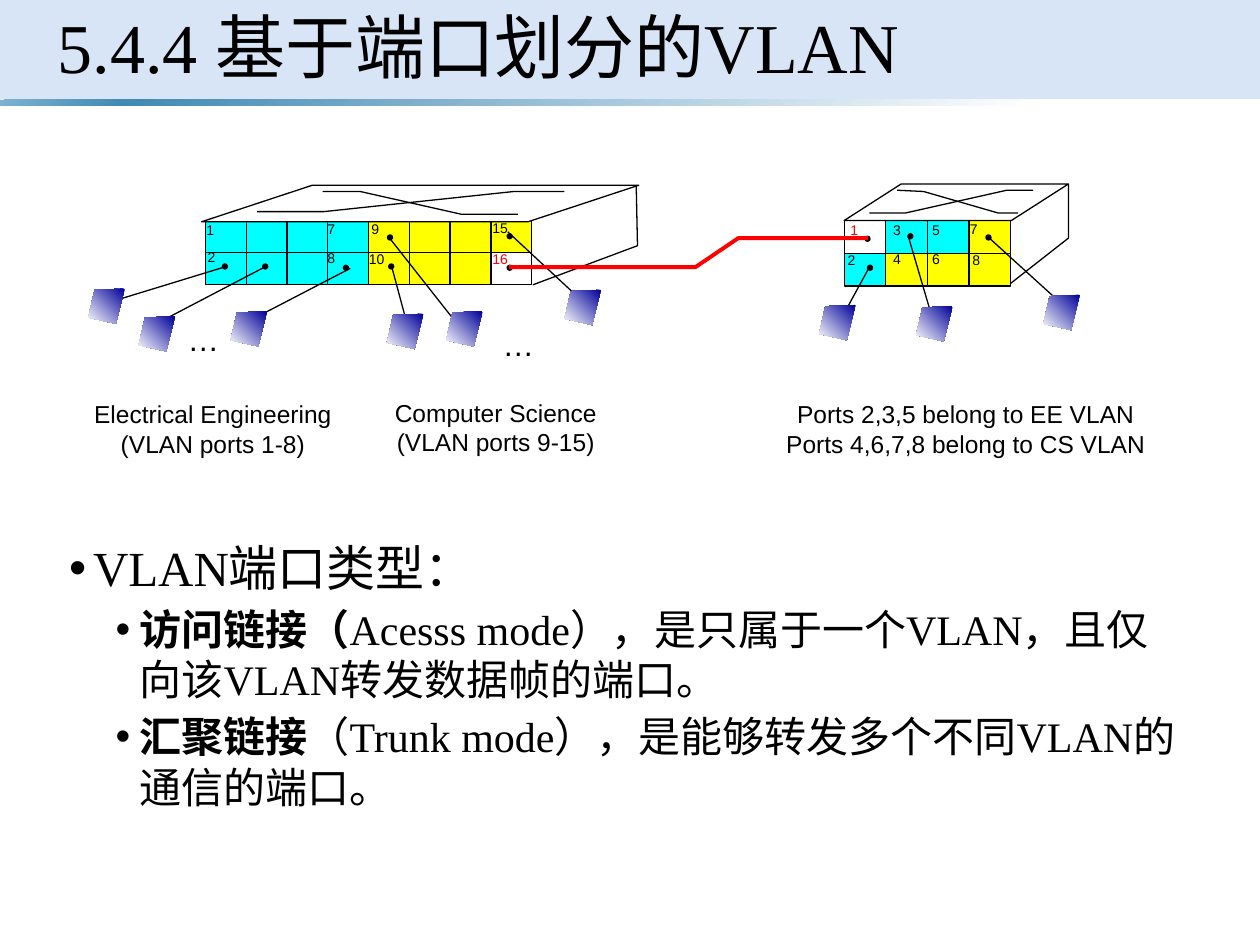
import lxml.etree
import pptx
import pptx.dml.color
import pptx.enum.dml
import pptx.enum.shapes
import pptx.enum.text
import pptx.oxml.ns
import pptx.util

COLUMNS, ROWS = 100, 75
SHAPE = pptx.enum.shapes.MSO_SHAPE
ALIGN = pptx.enum.text.PP_ALIGN
qn = pptx.oxml.ns.qn
BLACK, WHITE, RED = "000000", "FFFFFF", "FF0000"
CYAN, YELLOW = "00FFFF", "FFFF00"
SERIF = {"name": "Times New Roman", "bold": False}
SANS = {"name": "Arial"}

LEFT_SWITCH = {
    "front": (16.3, 17.5, 25.9, 5.1), "columns": 8,
    # column, row, columns spanned, rows spanned, colour
    "blocks": [(7, 1, 1, 1, WHITE), (0, 0, 1, 1, CYAN), (0, 1, 1, 1, CYAN),
               (7, 0, 1, 1, YELLOW), (4, 0, 3, 2, YELLOW), (1, 0, 3, 2, CYAN)],
    "lid": (16, 14.7, 34.7, 2.9), "slant": 3.03,
    "outlines": [[(42.3, 22.6), (50.6, 19.5), (50.5, 14.7)],
                 [(20.4, 16.8), (25.7, 16.8), (40.8, 15.2), (44.8, 15.2)],
                 [(25.6, 15.2), (28.6, 15.2), (36.6, 17), (41.1, 17)]],
    "numbers": [("1", 15.4, 17.1, BLACK), ("2", 15.5, 19.2, BLACK),
                ("7", 25, 17, BLACK), ("8", 25, 19.3, BLACK),
                ("9", 28.5, 17, BLACK), ("10", 28.3, 19.4, BLACK),
                ("15", 38.1, 16.9, BLACK), ("16", 38.1, 19.4, RED)],
    "leads": [(17.8, 21.2, 8, 24.2), (21, 21.2, 12.2, 25.8), (27.8, 21.3, 20.1, 25.3),
              (31.1, 21.2, 32.2, 25.3), (31, 19, 36.2, 25.6), (40.3, 18.4, 46, 23.7)],
    "dots": [(17.6, 20.9), (20.8, 20.9), (27.2, 21), (30.8, 20.9),
             (30.7, 18.6), (40.2, 18.5), (40.2, 21)],
}
RIGHT_SWITCH = {
    "front": (67, 17.5, 13.2, 5.2), "columns": 4,
    "blocks": [(1, 1, 1, 1, YELLOW), (2, 1, 1, 1, YELLOW), (3, 1, 1, 1, YELLOW),
               (1, 0, 1, 1, CYAN), (0, 1, 1, 1, CYAN), (3, 0, 1, 1, YELLOW),
               (2, 0, 1, 1, CYAN)],
    "lid": (67, 14.6, 17.8, 2.9), "slant": 1.56,
    "outlines": [[(84.8, 14.6), (84.8, 18.9), (80.2, 22.5)],
                 [(69, 16.9), (71.9, 16.9), (79.9, 15.1), (82, 15.1)],
                 [(71.2, 15.1), (73.3, 15.2), (79.2, 16.9), (80.8, 16.9)]],
    "numbers": [("1", 66.5, 17.1, RED), ("2", 66.3, 19.5, BLACK),
                ("3", 69.9, 17.1, BLACK), ("4", 69.9, 19.4, BLACK),
                ("5", 73, 17.1, BLACK), ("6", 73, 19.4, BLACK),
                ("7", 76, 17, BLACK), ("8", 76.2, 19.5, BLACK)],
    "leads": [(69, 21.2, 67.2, 24.5), (72.1, 18.8, 74.1, 25.6), (78.3, 18.7, 83.8, 23.7)],
    "dots": [(68.8, 21), (78.2, 18.6), (72, 18.5), (68.6, 18.7)],
}
TRUNK = [(40.4, 21.2), (55.2, 21.2), (58.6, 18.9), (68.9, 18.9)]
HOSTS = [(7, 22.9), (11, 25.1), (18.3, 24.7), (30.7, 24.9), (35.4, 24.7),
         (44.8, 23), (65, 24.2), (82.8, 23.4), (72.7, 24.3)]
HOST_CORNERS = [(2.9, 0), (0.5, 0.1), (0, 2.3), (2.2, 2.8)]
CAPTIONS = [
    (["…"], (13.9, 24.9, 4.5, 4), 18, ALIGN.LEFT),
    (["…"], (38.9, 25.3, 4.5, 4), 18, ALIGN.LEFT),
    (["Electrical Engineering", "(VLAN ports 1-8)"], (6.4, 31.2, 21, 5.7), 14, ALIGN.CENTER),
    (["Computer Science", "(VLAN ports 9-15)"], (30.3, 31.1, 18.1, 5.7), 14, ALIGN.CENTER),
    (["Ports 2,3,5 belong to EE VLAN", "Ports 4,6,7,8 belong to CS VLAN"],
     (61.3, 31.2, 30.7, 5.7), 14, ALIGN.CENTER),
]
# left margin in inches, space before, size, spans of (text, bold)
BULLETS = [
    (0.19, 0, 28, [("VLAN端口类型：", False)]),
    (0.56, 3.8, 24, [("访问链接（", True),
                     ("Acesss mode），是只属于一个VLAN，且仅向该VLAN转发数据帧的端口。", False)]),
    (0.56, 3.8, 24, [("汇聚链接", True),
                     ("（Trunk mode），是能够转发多个不同VLAN的通信的端口。", False)]),
]


def rgb(value):
    return pptx.dml.color.RGBColor.from_string(value)


def apply(target, values):
    for name, value in values.items():
        setattr(target, name, value)


def style_font(font, size, color=BLACK, **values):
    apply(font, {"size": pptx.util.Pt(size), **values})
    font.color.rgb = rgb(color)


class Drawing:
    """Draws on one page, with lengths in grid columns and rows."""

    def __init__(self, deck):
        self.page = deck.slides.add_slide(deck.slide_layouts[5])
        self.shapes = self.page.shapes
        self.column = deck.slide_width / COLUMNS
        self.row = deck.slide_height / ROWS

    def grid(self, *values):
        """Turn alternating columns and rows into lengths."""
        return [round(value * (self.row if index % 2 else self.column))
                for index, value in enumerate(values)]

    def finish(self, shape, fill=None, line=None, width=0.75):
        shape.shadow.inherit = False
        if fill:
            shape.fill.solid()
            shape.fill.fore_color.rgb = rgb(fill)
        else:
            shape.fill.background()
        if line:
            shape.line.color.rgb = rgb(line)
            shape.line.width = pptx.util.Pt(width)
        else:
            shape.line.fill.background()
        return shape

    def shape(self, kind, place, **look):
        return self.finish(self.shapes.add_shape(kind, *self.grid(*place)), **look)

    def outline(self, points, closed=False, **look):
        corners = [self.grid(*point) for point in points]
        builder = self.shapes.build_freeform(*corners[0])
        builder.add_line_segments(corners[1:], close=closed)
        return self.finish(builder.convert_to_shape(), **look)

    def gradient(self, shape, stops, angle):
        """Fill with (percent, colour) stops, the angle running clockwise."""
        shape.fill.gradient()
        shape.fill.gradient_angle = 360 - angle
        listing = shape._element.spPr.find(".//" + qn("a:gsLst"))
        listing.clear()
        for percent, color in stops:
            stop = lxml.etree.SubElement(listing, qn("a:gs"), pos=str(percent * 1000))
            lxml.etree.SubElement(stop, qn("a:srgbClr"), val=color)

    def line(self, *ends):
        line = self.shapes.add_connector(
            pptx.enum.shapes.MSO_CONNECTOR.STRAIGHT, *self.grid(*ends))
        line.line.color.rgb = rgb(BLACK)
        line.line.width = pptx.util.Pt(0.75)
        lxml.etree.SubElement(line._element.spPr, qn("a:effectLst"))
        return line

    def join(self, line, shape, start, end):
        line.begin_connect(shape, start)
        line.end_connect(shape, end)

    def caption(self, lines, place, size, align=ALIGN.LEFT, color=BLACK):
        frame = self.shapes.add_textbox(*self.grid(*place)).text_frame
        apply(frame, {"word_wrap": False, "text": "\n".join(lines),
                      "auto_size": pptx.enum.text.MSO_AUTO_SIZE.SHAPE_TO_FIT_TEXT})
        for para in frame.paragraphs:
            para.alignment = align
            style_font(para.runs[0].font, size, color, **SANS)

    def bullets(self, items, place):
        frame = self.shapes.add_textbox(*self.grid(*place)).text_frame
        frame.word_wrap = True
        for index, (margin, before, size, spans) in enumerate(items):
            para = frame.add_paragraph() if index else frame.paragraphs[0]
            properties = para._p.get_or_add_pPr()
            properties.set("marL", str(pptx.util.Inches(margin)))
            properties.set("indent", str(pptx.util.Inches(-0.19)))
            lxml.etree.SubElement(properties, qn("a:buFont"), typeface="Arial")
            lxml.etree.SubElement(properties, qn("a:buChar"), char="•")
            para.space_before = pptx.util.Pt(before)
            for text, bold in spans:
                span = para.add_run()
                span.text = text
                style_font(span.font, size, **{**SERIF, "bold": bold})

    def title(self, text, place):
        title = self.shapes.title
        apply(title, dict(zip(("left", "top", "width", "height"), self.grid(*place))))
        apply(title.text_frame, {"text": text, "word_wrap": True,
                                 "vertical_anchor": pptx.enum.text.MSO_ANCHOR.MIDDLE})
        para = title.text_frame.paragraphs[0]
        apply(para, {"alignment": ALIGN.LEFT, "line_spacing": 0.9})
        style_font(para.runs[0].font, 40, **SERIF)
        title._element.getparent().append(title._element)

    def header(self):
        band = self.shape(SHAPE.RECTANGLE, (0, 0, COLUMNS, 7.9), fill="C8DAF4")
        color = band._element.spPr.find(".//" + qn("a:srgbClr"))
        lxml.etree.SubElement(color, qn("a:alpha"), val="70000")
        stripe = self.shape(SHAPE.RECTANGLE, (0, 7.9, COLUMNS, 0.5))
        self.gradient(stripe, [(0, "7EB3D0"), (10, "418AB3"), (82, WHITE), (96, WHITE)], 45)

    def switch(self, switch):
        left, top, width, height = switch["front"]
        columns = switch["columns"]
        cell, half = width / columns, height / 2
        for column, row, across, down, color in switch["blocks"]:
            self.shape(SHAPE.RECTANGLE, (left + column * cell, top + row * half,
                                         across * cell, down * half), fill=color)
        front = self.shape(SHAPE.RECTANGLE, switch["front"], line=BLACK)
        self.join(self.line(left, top + half, left + width, top + half), front, 1, 3)
        for column in range(1, columns):
            x = left + column * cell
            divider = self.line(x, top, x, top + height)
            if column * 2 == columns:
                self.join(divider, front, 0, 2)
        lid = self.shape(SHAPE.PARALLELOGRAM, switch["lid"], fill=WHITE, line=BLACK)
        lid.adjustments[0] = switch["slant"]
        for points in switch["outlines"]:
            self.outline(points, line=BLACK)
        for ends in switch["leads"]:
            self.line(*ends)
        for x, y in switch["dots"]:
            self.shape(SHAPE.OVAL, (x, y, 0.5, 0.5), fill=BLACK)
        for text, x, y, color in switch["numbers"]:
            self.caption([text], (x, y, 1.9 + 0.7 * len(text), 2.3), 8, color=color)

    def host(self, left, top):
        corners = [(left + x, top + y) for x, y in HOST_CORNERS]
        self.gradient(self.outline(corners, closed=True), [(0, "000099"), (100, WHITE)], 135)


def main():
    deck = pptx.Presentation()
    deck.slide_width, deck.slide_height = pptx.util.Inches(10), pptx.util.Inches(7.5)
    drawing = Drawing(deck)
    drawing.header()
    drawing.bullets(BULLETS, (4.5, 42.2, 90.7, 27.6))
    drawing.switch(LEFT_SWITCH)
    drawing.switch(RIGHT_SWITCH)
    drawing.outline(TRUNK, line=RED, width=2.25)
    for host in HOSTS:
        drawing.host(*host)
    for caption in CAPTIONS:
        drawing.caption(*caption)
    drawing.title("5.4.4 基于端口划分的VLAN", (3.6, 0, 93, 8.1))
    deck.save("out.pptx")


if __name__ == "__main__":
    main()
